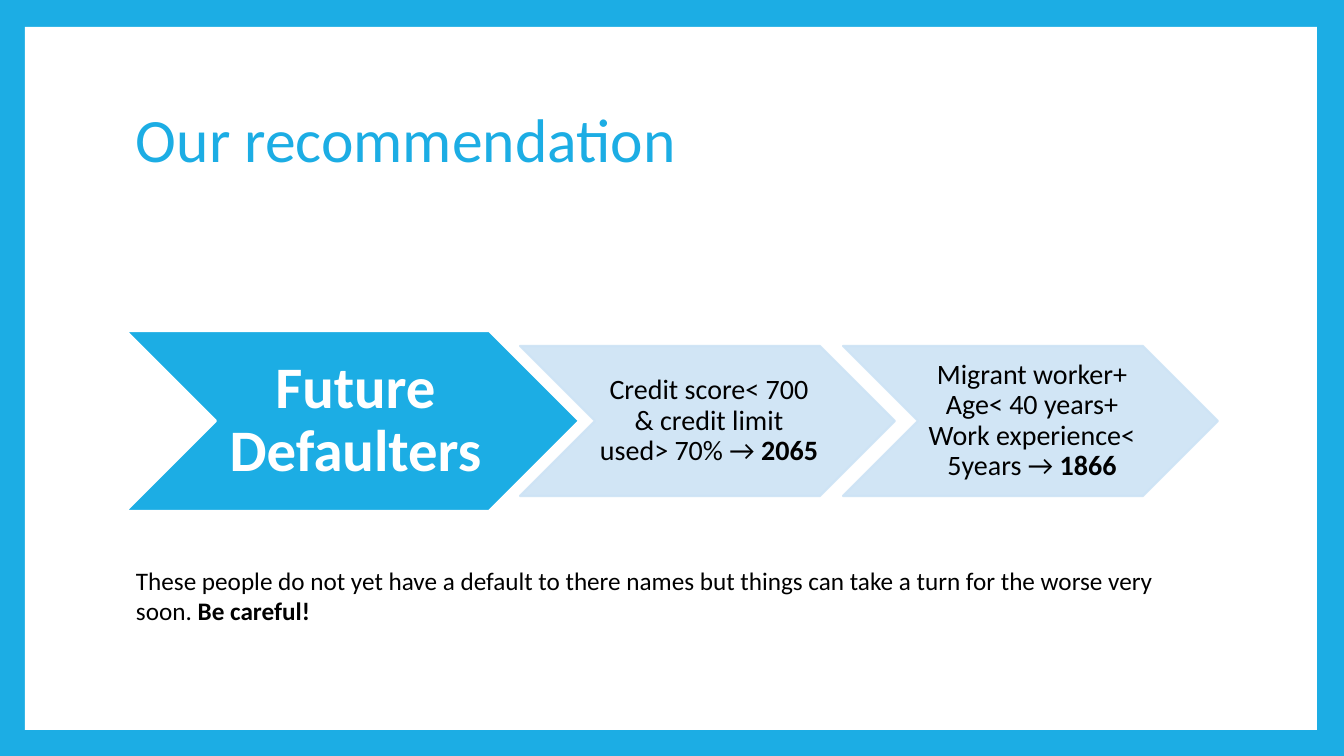
from lxml.etree import SubElement
from pptx import Presentation
from pptx.dml.color import RGBColor
from pptx.enum.shapes import MSO_SHAPE
from pptx.enum.text import MSO_ANCHOR, PP_ALIGN
from pptx.oxml.ns import qn
from pptx.util import Pt

EMU_PER_PX = 914400 / 100.8
FONT = "Calibri"
COLORS = {"accent": "1CADE4", "pale": "CDE3F5", "white": "FFFFFF", "black": "000000"}


def px(length):
    return round(length * EMU_PER_PX)


def paint(fill, color, opacity=100):
    fill.solid()
    fill.fore_color.rgb = RGBColor.from_string(COLORS[color])
    if opacity < 100:
        hue = fill._xPr.find(f"{qn('a:solidFill')}/{qn('a:srgbClr')}")
        SubElement(hue, qn("a:alpha"), val=str(opacity * 1000))


def write(frame, size, color, text, strong="", bold=None, spacing=None, align=PP_ALIGN.LEFT):
    """Fill a frame with one paragraph, optionally ending in bold words."""
    frame.word_wrap = True
    paragraph = frame.paragraphs[0]
    paragraph.alignment = align
    paragraph.line_spacing = spacing
    paragraph.font.name = FONT
    paragraph.font.size = Pt(size)
    paragraph.font.bold = bold
    paragraph.font.color.rgb = RGBColor.from_string(COLORS[color])
    paragraph.add_run().text = text
    if strong:
        ending = paragraph.add_run()
        ending.text = strong
        ending.font.bold = True


def add_panel(slide, left, top, width, height):
    paint(slide.background.fill, "accent")
    panel = slide.shapes.add_shape(MSO_SHAPE.RECTANGLE, *map(px, (left, top, width, height)))
    panel.shadow.inherit = False
    paint(panel.fill, "white")
    panel.line.fill.background()


def add_title(slide, left, top, width, height):
    title = slide.shapes.add_textbox(*map(px, (left, top, width, height))).text_frame
    title.vertical_anchor = MSO_ANCHOR.MIDDLE
    write(title, 44, "accent", "Our recommendation", spacing=0.9)


def add_chevron(slide, box, fill, line, opacity, insets, **wording):
    chevron = slide.shapes.add_shape(MSO_SHAPE.CHEVRON, *map(px, box))
    chevron.shadow.inherit = False
    paint(chevron.fill, fill, opacity)
    paint(chevron.line.fill, line, opacity)
    chevron.line.width = Pt(1.5)
    frame = chevron.text_frame
    frame.vertical_anchor = MSO_ANCHOR.MIDDLE
    frame.margin_left, frame.margin_right = px(insets[0]), 0
    frame.margin_top = frame.margin_bottom = px(insets[1])
    write(frame, spacing=0.9, align=PP_ALIGN.CENTER, **wording)


def add_process(slide, left, top, width, height):
    # Leading chevron
    lead_width = 453
    add_chevron(slide, (left, top, lead_width, height), "accent", "white", 100, (6, 3),
                size=42, color="white", text="Future Defaulters", bold=True)

    # Groups at risk, each tucked into the tip of the one before
    groups = [
        ("Credit score< 700 & credit limit used> 70% → ", "2065"),
        ("Migrant worker+ Age< 40 years+ Work experience< 5years → ", "1866"),
    ]
    group_width, group_height, pitch = 375, 150, 323
    first = left + width - group_width - pitch * (len(groups) - 1)
    for index, (profile, count) in enumerate(groups):
        box = (first + index * pitch, top + (height - group_height) // 2,
               group_width, group_height)
        add_chevron(slide, box, "pale", "pale", 90, (3, 1),
                    size=20, color="black", text=profile, strong=count)


def add_warning(slide, left, top, width, height):
    warning = slide.shapes.add_textbox(*map(px, (left, top, width, height))).text_frame
    write(warning, 18, "black",
          "These people do not yet have a default to there names but things "
          "can take a turn for the worse very soon. ", "Be careful!")


def main():
    deck = Presentation()
    deck.slide_width, deck.slide_height = px(1344), px(756)
    slide = deck.slides.add_slide(deck.slide_layouts[6])
    add_panel(slide, 25, 27, 1292, 703)
    add_title(slide, 126, 68, 1089, 149)
    add_process(slide, 126, 331, 1092, 180)
    add_warning(slide, 126, 560, 1091, 102)
    deck.save("out.pptx")


if __name__ == "__main__":
    main()
